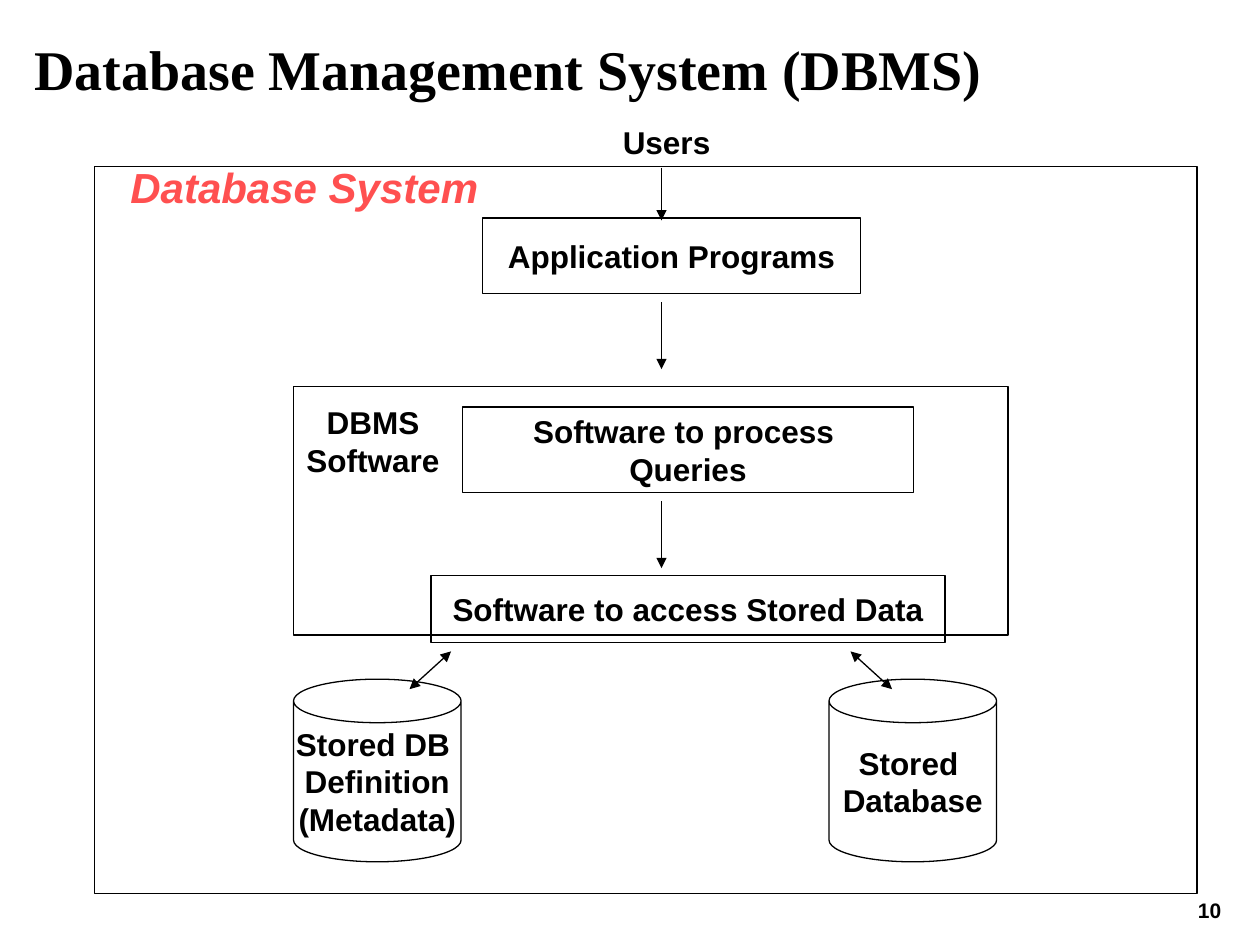
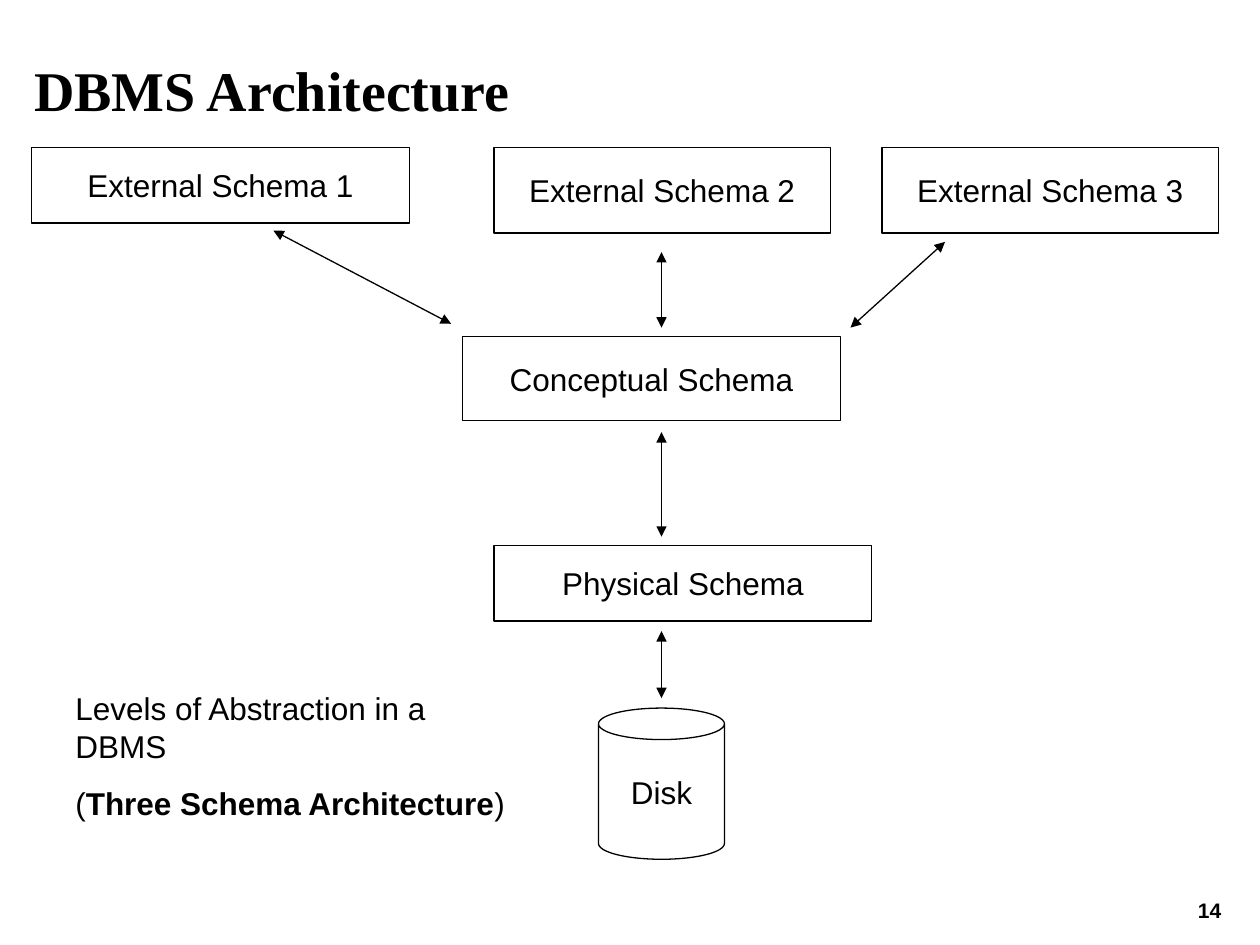
from pptx import Presentation
from pptx.dml.color import RGBColor
from pptx.enum.shapes import MSO_CONNECTOR as Connector, MSO_SHAPE as Preset
from pptx.enum.text import MSO_ANCHOR as Anchor, MSO_AUTO_SIZE as AutoSize, PP_ALIGN as Align
from pptx.oxml.ns import qn
from pptx.util import Pt
from lxml.etree import SubElement

PX = 9144  # EMU per px, 100 px to the inch
BLACK = RGBColor(0x00, 0x00, 0x00)
CORAL = RGBColor(0xFF, 0x50, 0x50)
LINE_WIDTH = Pt(0.75)
AXIS = 525  # x of the vertical arrows
BODY = {"name": "Arial", "size": Pt(18), "bold": False}
BOLD = BODY | {"bold": True}
TITLE = {"name": "Times New Roman", "size": Pt(32), "bold": True}
NUMBER = BOLD | {"size": Pt(12)}
SYSTEM = BOLD | {"size": Pt(24), "italic": True, "color": CORAL}
CENTERED = {"alignment": Align.CENTER}
NUMBER_BOX = (935, 710, 50, 28)


def vertical(top, bottom):
    return AXIS, top, AXIS, bottom


# Content: boxes are (left, top, width, height), arrows (x1, y1, x2, y2).
# A label is a list of paragraphs; a paragraph is text or a list of (text, font).
SLIDES = [
    {
        "title": "Database Management System (DBMS)",
        "title_height": 92,
        "number": "10",
        "font": BOLD,
        "boxes": [
            ((75, 132, 875, 577), []),
            ((383, 173, 300, 60), ["Application Programs"]),
            ((233, 307, 567, 197), []),
            ((367, 323, 358, 68), ["Software to process ", "Queries"]),
            ((342, 457, 408, 53), ["Software to access Stored Data"]),
        ],
        "disks": [
            ((233, 539, 133, 145), 0.26, ["Stored DB ", "Definition", "(Metadata)"]),
            ((658, 539, 133, 145), 0.26, ["Stored ", "Database"]),
        ],
        "one_way": [vertical(133, 175), vertical(240, 293), vertical(398, 451)],
        "two_way": [(358, 517, 325, 547), (675, 517, 708, 547)],
        "notes": [
            ((433, 93, 192, 40), ["Users"], BOLD, CENTERED | {"space_before": Pt(11.2)}),
            ((225, 315, 142, 70), ["DBMS Software"], BOLD, CENTERED | {"space_before": Pt(11.2)}),
            ((75, 123, 333, 50), ["Database System"], SYSTEM, CENTERED | {"space_before": Pt(15)}),
        ],
    },
    {
        "title": "DBMS Architecture",
        "title_height": 125,
        "number": "14",
        "font": BODY,
        "boxes": [
            ((367, 267, 300, 67), ["Conceptual Schema"]),
            ((392, 433, 300, 60), ["Physical Schema"]),
            ((25, 117, 300, 60), ["External Schema 1"]),
            ((392, 117, 267, 68), ["External Schema 2"]),
            ((700, 117, 267, 68), ["External Schema 3"]),
        ],
        "disks": [((475, 562, 100, 120), 0.25, ["Disk"])],
        "one_way": [],
        "two_way": [
            (217, 183, 358, 257), (750, 192, 675, 260),
            vertical(200, 260), vertical(343, 426), vertical(501, 554),
        ],
        "notes": [
            ((50, 542, 367, 116),
             ["Levels of Abstraction in a DBMS",
              [("(", BODY), ("Three Schema Architecture", BOLD), (")", BODY)]],
             BODY, {"alignment": Align.LEFT, "space_before": Pt(11.2)}),
        ],
    },
]


def emu(lengths):
    return [length * PX for length in lengths]


def set_all(target, values):
    for name, value in values.items():
        setattr(target, name, value)


def write(frame, paragraphs, font, layout, **frame_format):
    set_all(frame, frame_format)
    for index, content in enumerate(paragraphs):
        paragraph = frame.add_paragraph() if index else frame.paragraphs[0]
        set_all(paragraph, layout)
        runs = [(content, font)] if isinstance(content, str) else content
        for text, look in runs:
            run = paragraph.add_run()
            run.text = text
            look = {"color": BLACK} | look
            run.font.color.rgb = look.pop("color")
            set_all(run.font, look)


def add_note(slide, place, paragraphs, font, layout):
    note = slide.shapes.add_textbox(*emu(place))
    write(note.text_frame, paragraphs, font, layout, word_wrap=True)


def add_outline(slide, preset, place, paragraphs, font):
    outline = slide.shapes.add_shape(preset, *emu(place))
    outline.shadow.inherit = False
    outline.fill.background()
    outline.line.color.rgb = BLACK
    outline.line.width = LINE_WIDTH
    write(outline.text_frame, paragraphs, font, CENTERED,
          word_wrap=False, vertical_anchor=Anchor.MIDDLE)
    return outline


def add_arrow(slide, ends, heads):
    arrow = slide.shapes.add_connector(Connector.STRAIGHT, *emu(ends))
    arrow.line.color.rgb = BLACK
    arrow.line.width = LINE_WIDTH
    properties = arrow._element.spPr
    for head in heads:
        SubElement(properties.find(qn("a:ln")), qn(head), type="triangle")
    SubElement(properties, qn("a:effectLst"))


def build_slide(deck, content):
    slide = deck.slides.add_slide(deck.slide_layouts[5])
    font = content["font"]

    # Title and slide number
    title = slide.shapes.title
    place = emu((17, 8, 900, content["title_height"]))
    set_all(title, dict(zip(("left", "top", "width", "height"), place)))
    write(title.text_frame, [content["title"]], TITLE, {"alignment": Align.LEFT},
          word_wrap=True, vertical_anchor=Anchor.MIDDLE, auto_size=AutoSize.NONE)
    add_note(slide, NUMBER_BOX, [content["number"]], NUMBER,
             CENTERED | {"line_spacing": 0.9, "space_before": Pt(7.5)})

    # Diagram
    for place, label in content["boxes"]:
        add_outline(slide, Preset.RECTANGLE, place, label, font)
    for place, lid, label in content["disks"]:
        disk = add_outline(slide, Preset.CAN, place, label, font)
        disk.adjustments[0] = lid
    for ends in content["one_way"]:
        add_arrow(slide, ends, ["a:tailEnd"])
    for ends in content["two_way"]:
        add_arrow(slide, ends, ["a:headEnd", "a:tailEnd"])
    for note in content["notes"]:
        add_note(slide, *note)


def main():
    deck = Presentation()
    deck.slide_width, deck.slide_height = emu((1000, 750))
    for content in SLIDES:
        build_slide(deck, content)
    deck.save("out.pptx")


if __name__ == "__main__":
    main()
